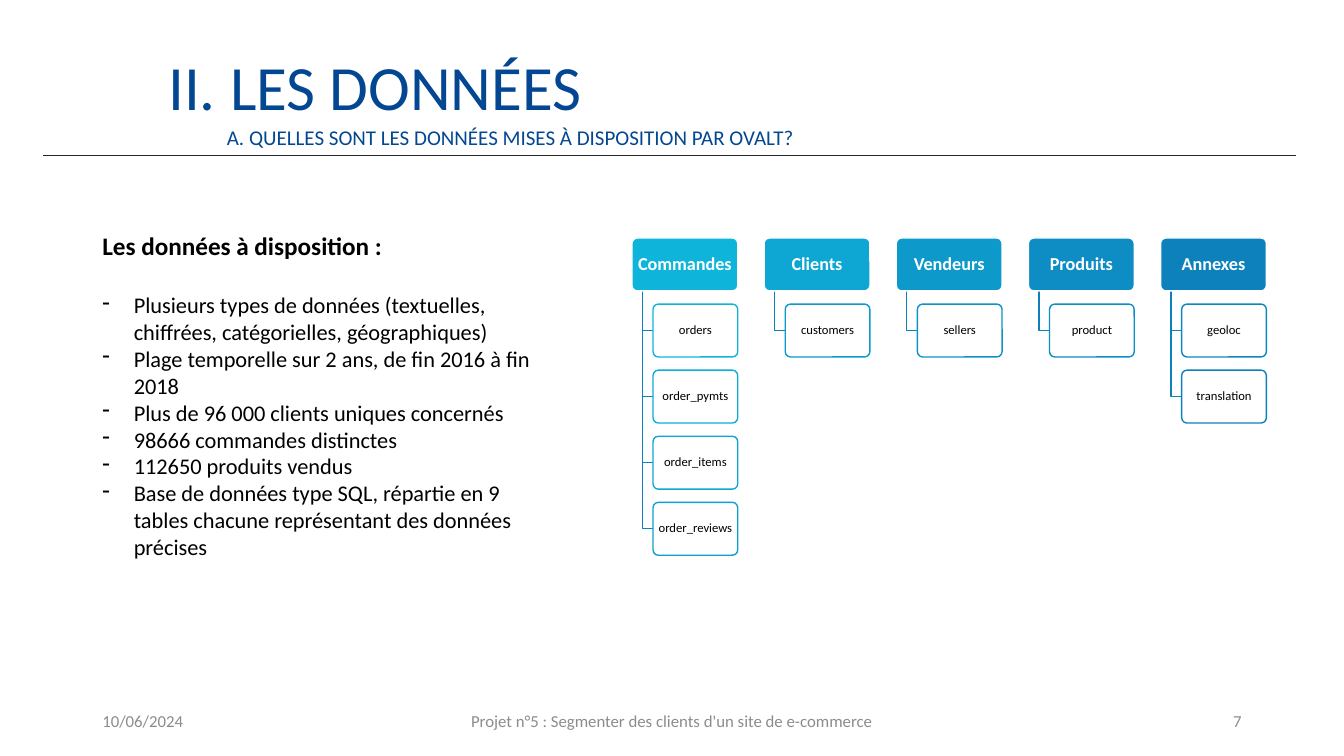
from lxml.etree import SubElement
from pptx import Presentation
from pptx.dml.color import RGBColor
from pptx.enum.shapes import MSO_CONNECTOR, MSO_SHAPE
from pptx.enum.text import MSO_ANCHOR, MSO_AUTO_SIZE, PP_ALIGN
from pptx.oxml.ns import qn
from pptx.util import Pt


def color(value):
    return RGBColor.from_string(value)


def write(holder, text, size=16, ink="000000", bold=False, align=PP_ALIGN.LEFT,
          anchor=MSO_ANCHOR.TOP, insets=(7.2, 3.6), spacing=None, before=0, bullet=None):
    frame = holder.text_frame
    frame.word_wrap = True
    frame.auto_size = MSO_AUTO_SIZE.NONE
    frame.vertical_anchor = anchor
    frame.margin_left = frame.margin_right = Pt(insets[0])
    frame.margin_top = frame.margin_bottom = Pt(insets[1])
    paragraph = frame.add_paragraph() if frame.text else frame.paragraphs[0]
    paragraph.alignment = align
    paragraph.line_spacing = spacing
    paragraph.space_before = Pt(before)
    if bullet:
        properties = paragraph._p.get_or_add_pPr()
        properties.set("marL", str(Pt(22.5)))
        properties.set("indent", str(-Pt(22.5)))
        SubElement(properties, qn("a:buChar")).set("char", bullet)
    run = paragraph.add_run()
    run.text = text
    run.font.name = "Calibri"
    run.font.size = Pt(size)
    run.font.bold = bold
    run.font.color.rgb = color(ink)


prs = Presentation()
prs.slide_width, prs.slide_height = Pt(960), Pt(540)
slide = prs.slides.add_slide(prs.slide_layouts[5])
shapes = slide.shapes

title = shapes.title
title.left, title.top, title.width, title.height = Pt(120.2), Pt(26.6), Pt(820), Pt(65.5)
write(title, "II. LES DONNÉES", size=45, ink="034793", anchor=MSO_ANCHOR.BOTTOM,
      insets=(0, 3.6), spacing=0.9)

subtitle = shapes.add_textbox(Pt(162), Pt(82.1), Pt(820), Pt(28.8))
write(subtitle, "A. QUELLES SONT LES DONNÉES MISES À DISPOSITION PAR OVALT?",
      size=15, ink="034793", anchor=MSO_ANCHOR.BOTTOM, insets=(0, 3.6), spacing=0.9)

rule = shapes.add_connector(MSO_CONNECTOR.STRAIGHT, Pt(31), Pt(110.9), Pt(926), Pt(110.9))
rule.line.color.rgb = color("262626")
rule.line.width = Pt(1)
SubElement(rule._element.spPr, qn("a:effectLst"))

footers = [
    (66, 216, "10/06/2024", PP_ALIGN.LEFT),
    (318, 324, "Projet n°5 : Segmenter des clients d'un site de e-commerce", PP_ALIGN.CENTER),
    (678, 216, "7", PP_ALIGN.RIGHT),
]
for left, width, text, align in footers:
    footer = shapes.add_textbox(Pt(left), Pt(500.5), Pt(width), Pt(28.8))
    write(footer, text, size=12, ink="8C8C8C", align=align, anchor=MSO_ANCHOR.MIDDLE)

facts = [
    "Plusieurs types de données (textuelles, chiffrées, catégorielles, géographiques)",
    "Plage temporelle sur 2 ans, de fin 2016 à fin 2018",
    "Plus de 96 000 clients uniques concernés",
    "98666 commandes distinctes",
    "112650 produits vendus",
    "Base de données type SQL, répartie en 9 tables chacune représentant des données précises",
]
summary = shapes.add_textbox(Pt(66), Pt(161), Pt(324), Pt(245))
write(summary, "Les données à disposition :", size=18, bold=True)
for index, fact in enumerate(facts):
    write(summary, fact, before=0 if index else 22, bullet="-")

families = [
    ("Commandes", "0FB4DB", [("orders", "0FB4DB"), ("order_pymts", "0FADD7"),
                             ("order_items", "0EA6D3"), ("order_reviews", "0EA0CF")]),
    ("Clients", "0EA6D3", [("customers", "0E99CB")]),
    ("Vendeurs", "0E99CB", [("sellers", "0E93C7")]),
    ("Produits", "0D8DC3", [("product", "0D8DC3")]),
    ("Annexes", "0D81BB", [("geoloc", "0D87BF"), ("translation", "0D81BB")]),
]
family_top, box_height, step = 170, 37.8, 47.2
for column, (family, shade, tables) in enumerate(families):
    family_left = 451.4 + column * 94.4
    boxes = [(family, family_left, family_top, 75.6, shade, "FFFFFF",
              dict(size=13, ink="FFFFFF", bold=True, insets=(0, 2)))]
    for row, (table, outline) in enumerate(tables, 1):
        table_left, table_top = family_left + 15.1, family_top + row * step
        boxes.append((table, table_left, table_top, 60.5, "FFFFFF", outline,
                      dict(size=9, insets=(1, 2))))
        trunk, middle = Pt(family_left + 7.55), Pt(table_top + box_height / 2)
        branch_builder = shapes.build_freeform(trunk, Pt(family_top + box_height))
        branch_builder.add_line_segments([(trunk, middle), (Pt(table_left), middle)], close=False)
        branch = branch_builder.convert_to_shape()
        branch.shadow.inherit = False
        branch.fill.background()
        branch.line.color.rgb = color("0D81BB")
        branch.line.width = Pt(1)
    for text, left, top, width, fill, outline, style in boxes:
        box = shapes.add_shape(MSO_SHAPE.ROUNDED_RECTANGLE, Pt(left), Pt(top), Pt(width), Pt(box_height))
        box.adjustments[0] = 0.1
        box.shadow.inherit = False
        box.fill.solid()
        box.fill.fore_color.rgb = color(fill)
        box.line.color.rgb = color(outline)
        box.line.width = Pt(1)
        write(box, text, align=PP_ALIGN.CENTER, anchor=MSO_ANCHOR.MIDDLE, spacing=0.9, **style)

prs.save("out.pptx")
